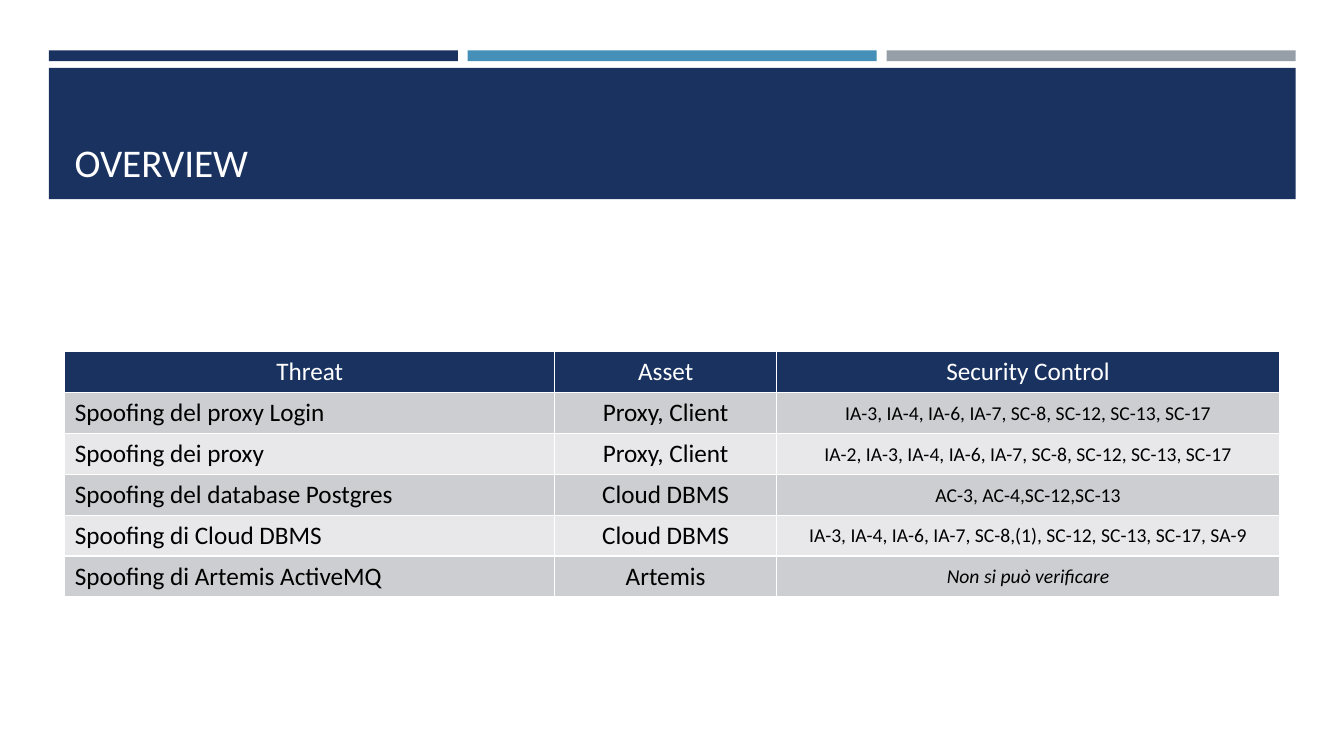
from dataclasses import dataclass

from lxml import etree
from pptx import Presentation
from pptx.dml.color import RGBColor
from pptx.enum.shapes import MSO_SHAPE
from pptx.enum.text import MSO_ANCHOR, PP_ALIGN
from pptx.oxml.ns import qn
from pptx.util import Cm, Pt

RECT = MSO_SHAPE.RECTANGLE
LEFT, CENTER = PP_ALIGN.LEFT, PP_ALIGN.CENTER
TOP, MIDDLE, BOTTOM = MSO_ANCHOR.TOP, MSO_ANCHOR.MIDDLE, MSO_ANCHOR.BOTTOM


@dataclass(frozen=True)
class Theme:
    font: str = "Calibri"
    navy: str = "1A3260"
    blue: str = "4590B8"
    gray: str = "969FA7"
    white: str = "FFFFFF"
    black: str = "000000"
    bands: tuple = ("CDCED2", "E8E8EA")
    title: int = 28
    body: int = 18
    controls: int = 14
    border: int = 1


THEME = Theme()

HEADER = ("Threat", "Asset", "Security Control")
THREATS = [
    ("Spoofing del proxy Login", "Proxy, Client",
     "IA-3, IA-4, IA-6, IA-7, SC-8, SC-12, SC-13, SC-17"),
    ("Spoofing dei proxy", "Proxy, Client",
     "IA-2, IA-3, IA-4, IA-6, IA-7, SC-8, SC-12, SC-13, SC-17"),
    ("Spoofing del database Postgres", "Cloud DBMS",
     "AC-3, AC-4,SC-12,SC-13"),
    ("Spoofing di Cloud DBMS", "Cloud DBMS",
     "IA-3, IA-4, IA-6, IA-7, SC-8,(1), SC-12, SC-13, SC-17, SA-9"),
    ("Spoofing di Artemis ActiveMQ", "Artemis", "Non si può verificare"),
]
UNVERIFIABLE = "Non si può verificare"
COLUMN_WIDTHS = (12.35, 5.59, 12.68)


def add_text(tf, text, size, color, align=LEFT, italic=False):
    p = tf.paragraphs[0]
    p.alignment = align
    r = p.add_run()
    r.text = text
    r.font.name = THEME.font
    r.font.size = Pt(size)
    r.font.italic = italic
    r.font.color.rgb = RGBColor.from_string(color)


def add_block(s, x, y, w, h, color):
    sp = s.shapes.add_shape(RECT, Cm(x), Cm(y), Cm(w), Cm(h))
    sp.shadow.inherit = False
    sp.fill.solid()
    sp.fill.fore_color.rgb = RGBColor.from_string(color)
    sp.line.fill.background()


def add_accent_bars(s, x, y, w, h, gap=0.25):
    colors = (THEME.navy, THEME.blue, THEME.gray)
    bar = (w - gap * (len(colors) - 1)) / len(colors)
    for i, color in enumerate(colors):
        add_block(s, x + i * (bar + gap), y, bar, h, color)


def add_title_band(s, x, y, w, h, title):
    add_block(s, x, y, w, h, THEME.navy)
    sp = s.shapes.add_textbox(Cm(x + 0.4), Cm(y + 0.25), Cm(w - 0.8), Cm(h - 0.48))
    tf = sp.text_frame
    tf.word_wrap = True
    tf.vertical_anchor = BOTTOM
    add_text(tf, title, THEME.title, THEME.white)


def set_borders(cell):
    """Draw all four cell edges; the edges must come before the fill."""
    tc_pr = cell._tc.get_or_add_tcPr()
    for i, edge in enumerate(("a:lnL", "a:lnR", "a:lnT", "a:lnB")):
        ln = etree.Element(qn(edge), w=str(Pt(THEME.border)))
        fill = etree.SubElement(ln, qn("a:solidFill"))
        etree.SubElement(fill, qn("a:srgbClr"), val=THEME.white)
        tc_pr.insert(i, ln)


def style_cell(cell, row, col, text):
    is_header = row == 0
    is_control = col == 2 and not is_header
    cell.fill.solid()
    cell.fill.fore_color.rgb = RGBColor.from_string(
        THEME.navy if is_header else THEME.bands[(row - 1) % 2])
    set_borders(cell)
    cell.vertical_anchor = MIDDLE if is_control else TOP
    if is_control:
        cell.margin_left = cell.margin_right = cell.margin_top = Cm(0.03)
        cell.margin_bottom = 0
    add_text(cell.text_frame, text,
             THEME.controls if is_control else THEME.body,
             THEME.white if is_header else THEME.black,
             CENTER if is_header or col else LEFT,
             italic=text == UNVERIFIABLE)


def add_threat_table(s, x, y, row_height):
    rows = [HEADER, *THREATS]
    frame = s.shapes.add_table(len(rows), len(HEADER), Cm(x), Cm(y),
                               Cm(sum(COLUMN_WIDTHS)), Cm(row_height * len(rows)))
    table = frame.table
    for column, width in zip(table.columns, COLUMN_WIDTHS):
        column.width = Cm(width)
    for i, values in enumerate(rows):
        table.rows[i].height = Cm(row_height)
        for j, text in enumerate(values):
            style_cell(table.cell(i, j), i, j, text)


def main():
    prs = Presentation()
    prs.slide_width, prs.slide_height = Cm(33.87), Cm(19.05)
    s = prs.slides.add_slide(prs.slide_layouts[6])
    add_accent_bars(s, 1.23, 1.27, 31.42, 0.27)
    add_title_band(s, 1.23, 1.71, 31.42, 3.31, "OVERVIEW")
    add_threat_table(s, 1.63, 8.86, 1.03)
    prs.save("out.pptx")


if __name__ == "__main__":
    main()
